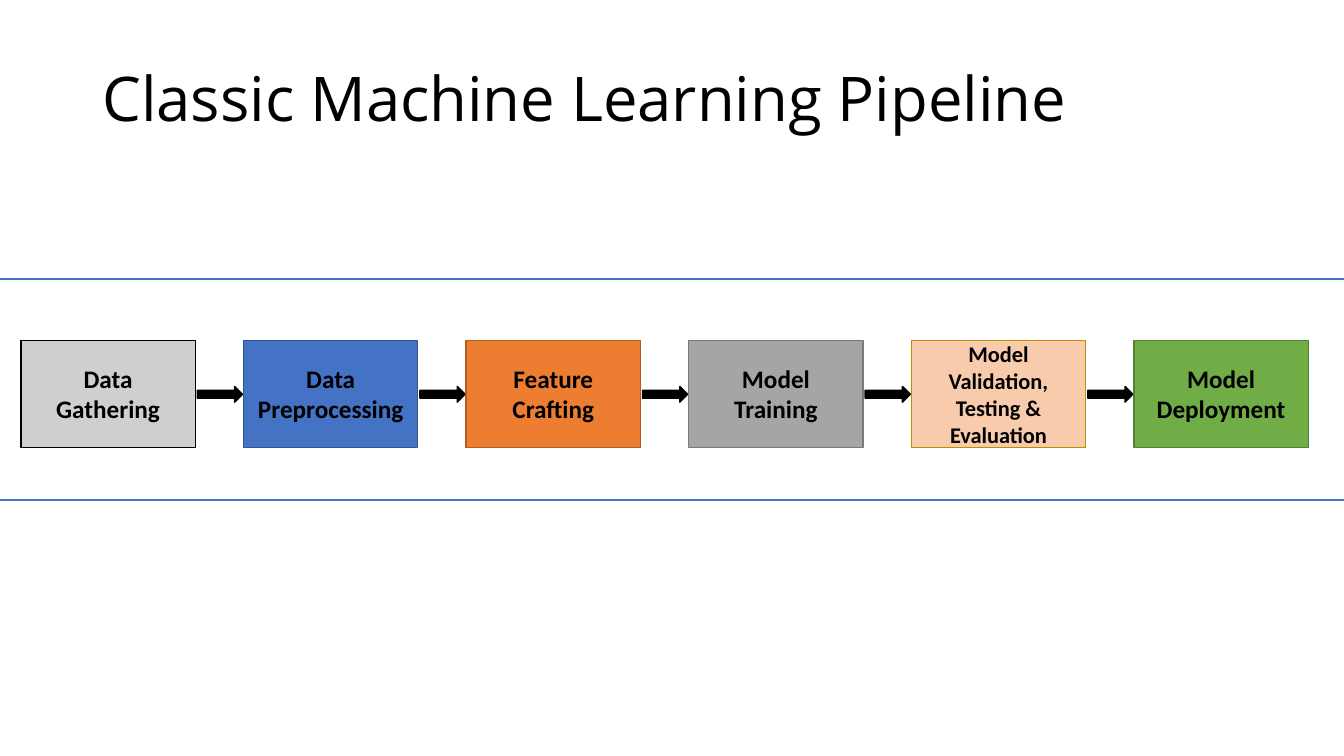
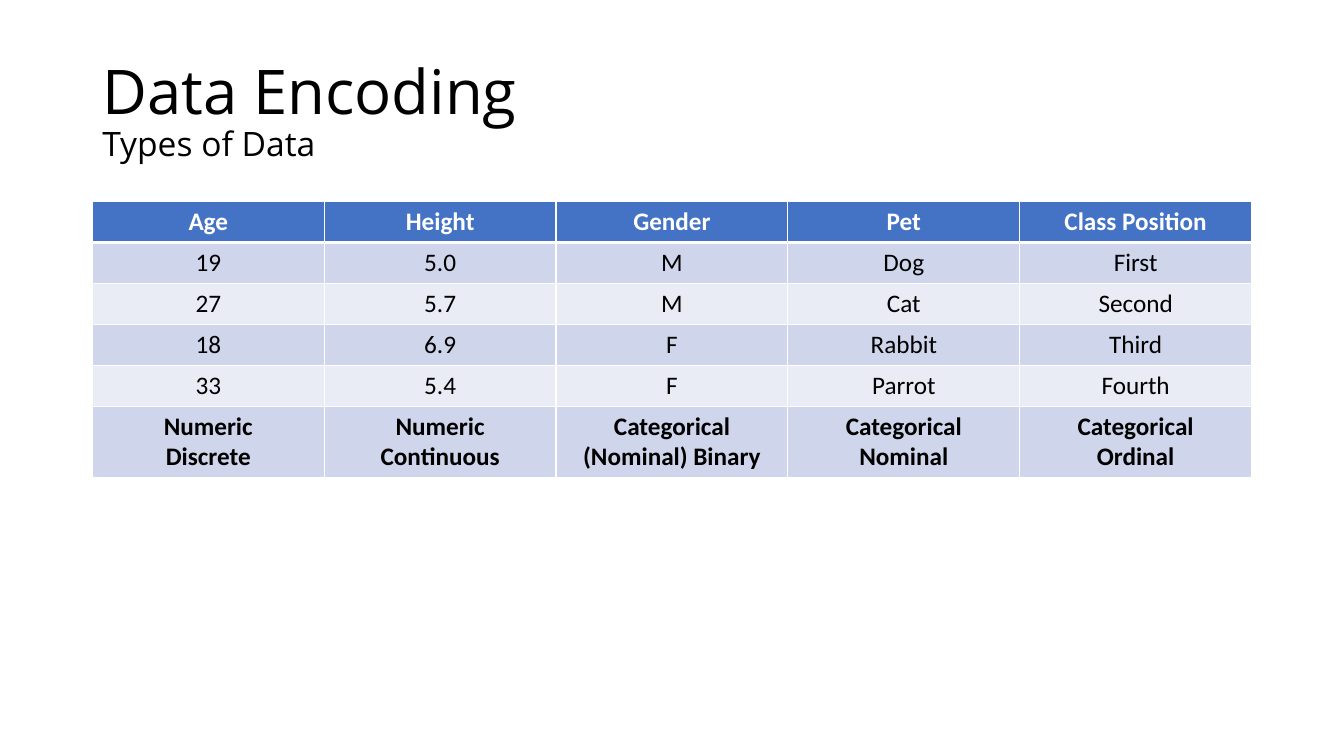
from dataclasses import dataclass

from lxml.etree import SubElement
from pptx import Presentation
from pptx.dml.color import RGBColor
from pptx.enum.shapes import MSO_CONNECTOR, MSO_SHAPE
from pptx.enum.text import MSO_ANCHOR, PP_ALIGN
from pptx.oxml.ns import qn
from pptx.presentation import Presentation as Deck
from pptx.shapes.autoshape import Shape
from pptx.slide import Slide
from pptx.table import _Cell as Cell
from pptx.text.text import TextFrame
from pptx.util import Emu, Pt

EMU_PER_PX = 9525
PAGE_WIDTH, PAGE_HEIGHT = 1280, 720
MARGIN_LEFT, TITLE_TOP, CONTENT_WIDTH = 88, 38, 1104
TITLE_FONT, BODY_FONT = "Open Sans", "Calibri"
TITLE_SIZE, SUBTITLE_SIZE, BODY_SIZE = 44, 24, 18
BLACK, WHITE, BLUE = "000000", "FFFFFF", "4472C4"
BANDS = ("CFD5EA", "E9EBF5")

STAGE_LEFT, STAGE_TOP, STAGE_PITCH = 20, 324, 212
STAGE_WIDTH, STAGE_HEIGHT = 166, 102
ARROW_OFFSET, ARROW_TOP, ARROW_WIDTH, ARROW_HEIGHT = 2, 368, 43, 15
RULE_TOPS = (266, 476)

TABLE_TOP, ROW_HEIGHT, TYPE_ROW_HEIGHT = 192, 39, 68


@dataclass(frozen=True)
class Area:
    left: int
    top: int
    width: int
    height: int

    def emu(self) -> tuple[Emu, Emu, Emu, Emu]:
        return px(self.left), px(self.top), px(self.width), px(self.height)


@dataclass(frozen=True)
class Stage:
    label: str
    fill: str
    outline: str
    size: int = BODY_SIZE


STAGES = (
    Stage("Data Gathering", "D0CECE", BLACK),
    Stage("Data Preprocessing", BLUE, "325491"),
    Stage("Feature Crafting", "ED7D31", "AF5C24"),
    Stage("Model Training", "A5A5A5", "7A7A7A"),
    Stage("Model Validation, Testing & Evaluation", "F8CBAD", "BD8E00", 16),
    Stage("Model Deployment", "70AD47", "538035"),
)

DATA_ROWS = (
    ("Age", "Height", "Gender", "Pet", "Class Position"),
    ("19", "5.0", "M", "Dog", "First"),
    ("27", "5.7", "M", "Cat", "Second"),
    ("18", "6.9", "F", "Rabbit", "Third"),
    ("33", "5.4", "F", "Parrot", "Fourth"),
    (
        "Numeric\nDiscrete",
        "Numeric\nContinuous",
        "Categorical\n(Nominal) Binary",
        "Categorical\nNominal",
        "Categorical\nOrdinal",
    ),
)


def px(length: int) -> Emu:
    return Emu(length * EMU_PER_PX)


def color(value: str) -> RGBColor:
    return RGBColor.from_string(value)


def write_centred(frame: TextFrame, text: str, size: int, ink: str, bold: bool) -> None:
    frame.text = text
    for para in frame.paragraphs:
        para.alignment = PP_ALIGN.CENTER
        for span in para.runs:
            span.font.name = BODY_FONT
            span.font.size = Pt(size)
            span.font.bold = bold
            span.font.color.rgb = color(ink)


def add_title(page: Slide, title: str, height: int, subtitle: str = "") -> None:
    box = page.shapes.add_textbox(*Area(MARGIN_LEFT, TITLE_TOP, CONTENT_WIDTH, height).emu())
    frame = box.text_frame
    frame.word_wrap = True
    frame.vertical_anchor = MSO_ANCHOR.MIDDLE
    para = frame.paragraphs[0]
    para.text = f"{title}\v{subtitle}" if subtitle else title
    para.line_spacing = 0.9
    for span, size in zip(para.runs, (TITLE_SIZE, SUBTITLE_SIZE)):
        span.font.name = TITLE_FONT
        span.font.size = Pt(size)
        span.font.color.rgb = color(BLACK)


def add_block(page: Slide, kind: MSO_SHAPE, area: Area, fill: str, outline: str) -> Shape:
    block = page.shapes.add_shape(kind, *area.emu())
    block.shadow.inherit = False
    block.fill.solid()
    block.fill.fore_color.rgb = color(fill)
    block.line.color.rgb = color(outline)
    block.line.width = Pt(1)
    return block


def add_stage(page: Slide, stage: Stage, left: int) -> None:
    area = Area(left, STAGE_TOP, STAGE_WIDTH, STAGE_HEIGHT)
    block = add_block(page, MSO_SHAPE.RECTANGLE, area, stage.fill, stage.outline)
    frame = block.text_frame
    frame.word_wrap = True
    frame.vertical_anchor = MSO_ANCHOR.MIDDLE
    write_centred(frame, stage.label, stage.size, BLACK, True)


def add_rule(page: Slide, top: int) -> None:
    rule = page.shapes.add_connector(
        MSO_CONNECTOR.STRAIGHT, px(0), px(top), px(PAGE_WIDTH), px(top)
    )
    rule.line.color.rgb = color(BLUE)
    rule.line.width = Pt(1.5)
    SubElement(rule._element.spPr, qn("a:effectLst"))


def set_borders(cell: Cell, top: int, bottom: int) -> None:
    properties = cell._tc.get_or_add_tcPr()
    for side, width in (("L", 1), ("R", 1), ("T", top), ("B", bottom)):
        border = SubElement(properties, qn(f"a:ln{side}"), w=str(Pt(width)))
        fill = SubElement(border, qn("a:solidFill"))
        SubElement(fill, qn("a:srgbClr"), val=WHITE)


def add_data_table(page: Slide) -> None:
    last = len(DATA_ROWS) - 1
    columns = len(DATA_ROWS[0])
    area = Area(MARGIN_LEFT, TABLE_TOP, CONTENT_WIDTH, ROW_HEIGHT * last + TYPE_ROW_HEIGHT)
    table = page.shapes.add_table(len(DATA_ROWS), columns, *area.emu()).table
    for index, values in enumerate(DATA_ROWS):
        header = index == 0
        table.rows[index].height = px(TYPE_ROW_HEIGHT if index == last else ROW_HEIGHT)
        for column, value in enumerate(values):
            cell = table.cell(index, column)
            set_borders(cell, top=3 if index == 1 else 1, bottom=3 if header else 1)
            cell.fill.solid()
            cell.fill.fore_color.rgb = color(BLUE if header else BANDS[(index - 1) % 2])
            ink = WHITE if header else BLACK
            write_centred(cell.text_frame, value, BODY_SIZE, ink, index in (0, last))


def add_page(deck: Deck) -> Slide:
    return deck.slides.add_slide(deck.slide_layouts[6])


def build_pipeline(deck: Deck) -> None:
    page = add_page(deck)
    add_title(page, "Classic Machine Learning Pipeline", 118)
    for index, stage in enumerate(STAGES):
        left = STAGE_LEFT + index * STAGE_PITCH
        add_stage(page, stage, left)
        if index < len(STAGES) - 1:
            arrow_left = left + STAGE_WIDTH + ARROW_OFFSET
            area = Area(arrow_left, ARROW_TOP, ARROW_WIDTH, ARROW_HEIGHT)
            add_block(page, MSO_SHAPE.RIGHT_ARROW, area, BLACK, BLACK)
    for top in RULE_TOPS:
        add_rule(page, top)


def build_data_types(deck: Deck) -> None:
    page = add_page(deck)
    add_title(page, "Data Encoding", 139, "Types of Data")
    add_data_table(page)


def main() -> None:
    deck = Presentation()
    deck.slide_width, deck.slide_height = px(PAGE_WIDTH), px(PAGE_HEIGHT)
    build_pipeline(deck)
    build_data_types(deck)
    deck.save("out.pptx")


if __name__ == "__main__":
    main()
